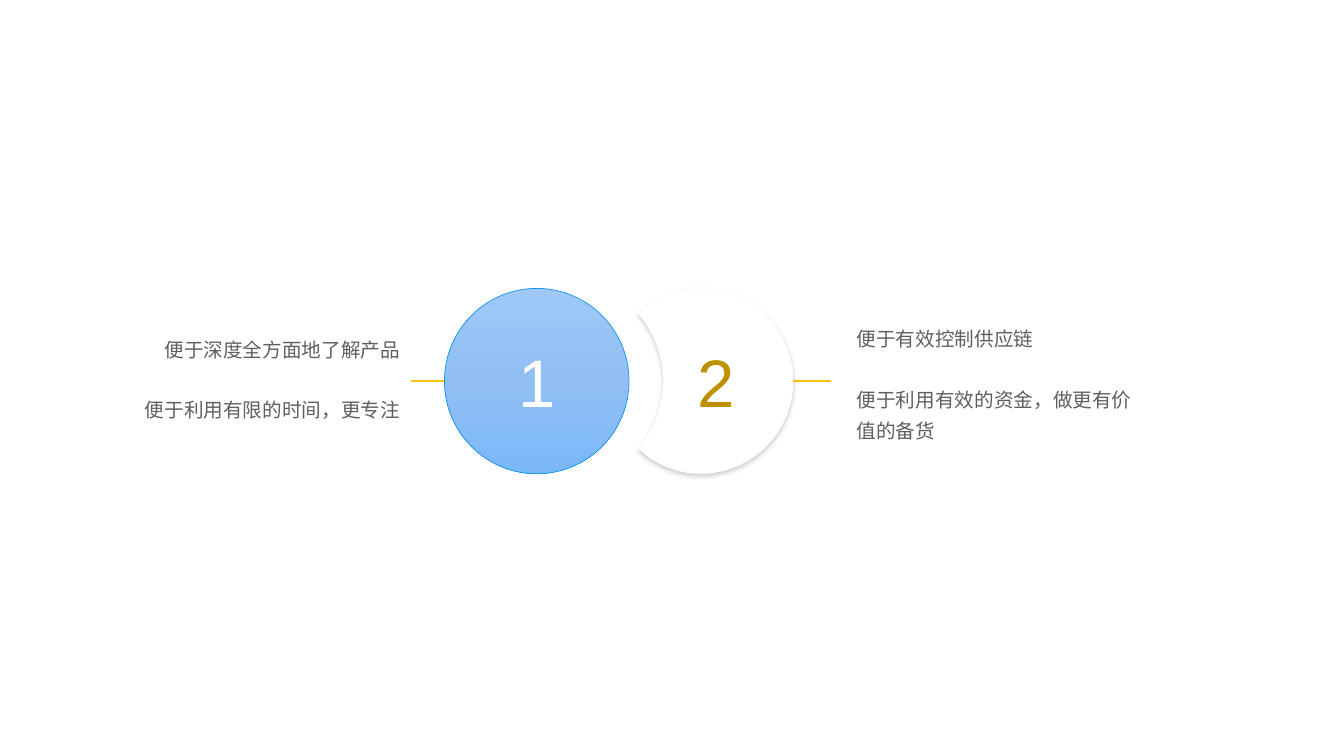
from copy import deepcopy

from lxml import etree
from pptx import Presentation
from pptx.dml.color import RGBColor
from pptx.enum.shapes import MSO_CONNECTOR, MSO_SHAPE
from pptx.enum.text import MSO_ANCHOR, PP_ALIGN
from pptx.oxml import parse_xml
from pptx.oxml.ns import nsdecls, qn
from pptx.util import Pt

STRAIGHT = MSO_CONNECTOR.STRAIGHT
OVAL = MSO_SHAPE.OVAL
MIDDLE = MSO_ANCHOR.MIDDLE
LEFT, CENTER, RIGHT = PP_ALIGN.LEFT, PP_ALIGN.CENTER, PP_ALIGN.RIGHT

WHITE = RGBColor(0xFF, 0xFF, 0xFF)
AMBER = RGBColor(0xFF, 0xC0, 0x00)
DARK_GOLD = RGBColor(0xBF, 0x90, 0x00)
GREY = RGBColor(0x5F, 0x5F, 0x5F)
BLUE_EDGE = RGBColor(0x11, 0x98, 0xEB)
BLUE_STOPS = [
    (0, RGBColor(0x9F, 0xC8, 0xF8)),
    (0.5, RGBColor(0x91, 0xBF, 0xF5)),
    (1, RGBColor(0x7C, 0xB7, 0xF9)),
]

MID_Y = 272.2
RADIUS = 66.2


def write_number(shape, number, color):
    frame = shape.text_frame
    frame.text = number
    frame.vertical_anchor = MIDDLE
    paragraph = frame.paragraphs[0]
    paragraph.alignment = CENTER
    font = paragraph.runs[0].font
    font.name, font.size, font.color.rgb = "Arial", Pt(48), color


prs = Presentation()
prs.slide_width, prs.slide_height = Pt(960), Pt(540)
slide = prs.slides.add_slide(prs.slide_layouts[6])
shapes = slide.shapes

# Leader lines, partly covered by the circles
for start_x, end_x in [(293.8, 335.5), (551.5, 593.3)]:
    leader = shapes.add_connector(STRAIGHT, Pt(start_x), Pt(MID_Y), Pt(end_x), Pt(MID_Y))
    leader.line.color.rgb = AMBER
    leader.line.width = Pt(2)
    etree.SubElement(leader._element.spPr, qn("a:effectLst"))

# Full circle 1
circle = shapes.add_shape(
    OVAL, Pt(317.5), Pt(MID_Y - RADIUS), Pt(2 * RADIUS - 0.6), Pt(2 * RADIUS)
)
circle.shadow.inherit = False
circle.fill.gradient()
circle.fill.gradient_angle = 270
stop_list = circle._element.spPr.find(".//" + qn("a:gsLst"))
stop_list.insert(1, deepcopy(stop_list[0]))
for stop, (position, color) in zip(circle.fill.gradient_stops, BLUE_STOPS):
    stop.position = position
    stop.color.rgb = color
circle.line.color.rgb = BLUE_EDGE
circle.line.width = Pt(0.5)
write_number(circle, "1", WHITE)

# Circle 2 with a bite cut out of its left side: each segment holds x and the
# distance from MID_Y, three pairs for a curve and one for a straight edge
TIP_X = 455.8
outline_start = (500.4, -RADIUS)
segments = [
    [(537.1, -RADIUS), (566.6, -36.7), (566.6, 0)],
    [(566.6, 36.7), (537.1, RADIUS), (500.4, RADIUS)],
    [(486.7, RADIUS), (474.5, 61.9), (463.7, 54.7)],
    [(TIP_X, 48.2)],
    [(460.8, 41.8)],
    [(468.7, 29.5), (473.8, 15.1), (473.8, 0)],
    [(473.8, -15.1), (468.7, -29.5), (460.8, -41.8)],
    [(TIP_X, -48.2)],
    [(463.7, -54.7)],
    [(474.5, -61.9), (486.7, -RADIUS), outline_start],
]
builder = shapes.build_freeform(
    outline_start[0] * 100, (MID_Y - RADIUS) * 100, scale=Pt(0.01)
)
corners = [(segment[-1][0] * 100, (MID_Y + segment[-1][1]) * 100) for segment in segments]
builder.add_line_segments(corners, close=True)
crescent = builder.convert_to_shape()
edges = crescent._element.spPr.findall(".//" + qn("a:lnTo"))
for edge, segment in zip(edges, segments):
    if len(segment) == 3:
        edge.tag = qn("a:cubicBezTo")
        for index, (x, offset) in enumerate(segment[:2]):
            control = etree.Element(qn("a:pt"))
            control.set("x", str(round((x - TIP_X) * 100)))
            control.set("y", str(round((offset + RADIUS) * 100)))
            edge.insert(index, control)
crescent.fill.solid()
crescent.fill.fore_color.rgb = WHITE
crescent.line.fill.background()
crescent.shadow.inherit = False
crescent._element.spPr.find(qn("a:effectLst")).append(parse_xml(
    f'<a:outerShdw {nsdecls("a")} blurRad="{Pt(3.1)}" dist="{Pt(1.8)}" dir="5400000">'
    '<a:srgbClr val="808080"><a:alpha val="35000"/></a:srgbClr></a:outerShdw>'
))
write_number(crescent, "2", DARK_GOLD)

# Benefits on either side
benefits = [
    (76.3, 136.1, 272.2, 13, RIGHT,
     ["便于深度全方面地了解产品", "便于利用有限的时间，更专注"]),
    (603.4, 144.7, 254.9, 5.8, LEFT,
     ["便于有效控制供应链", "便于利用有效的资金，做更有价值的备货"]),
]
for left, top, height, bottom_margin, alignment, lines in benefits:
    frame = shapes.add_textbox(Pt(left), Pt(top), Pt(218.2), Pt(height)).text_frame
    frame.word_wrap = True
    frame.vertical_anchor = MIDDLE
    frame.margin_left = frame.margin_right = Pt(8.6)
    frame.margin_top, frame.margin_bottom = Pt(5.8), Pt(bottom_margin)
    frame.text = "\n".join(lines)
    for index, paragraph in enumerate(frame.paragraphs):
        paragraph.alignment = alignment
        paragraph.line_spacing = 1.3
        if index:
            paragraph.space_before = Pt(21.6)
        font = paragraph.runs[0].font
        font.name, font.size, font.color.rgb = "Arial", Pt(14), GREY

prs.save("out.pptx")
